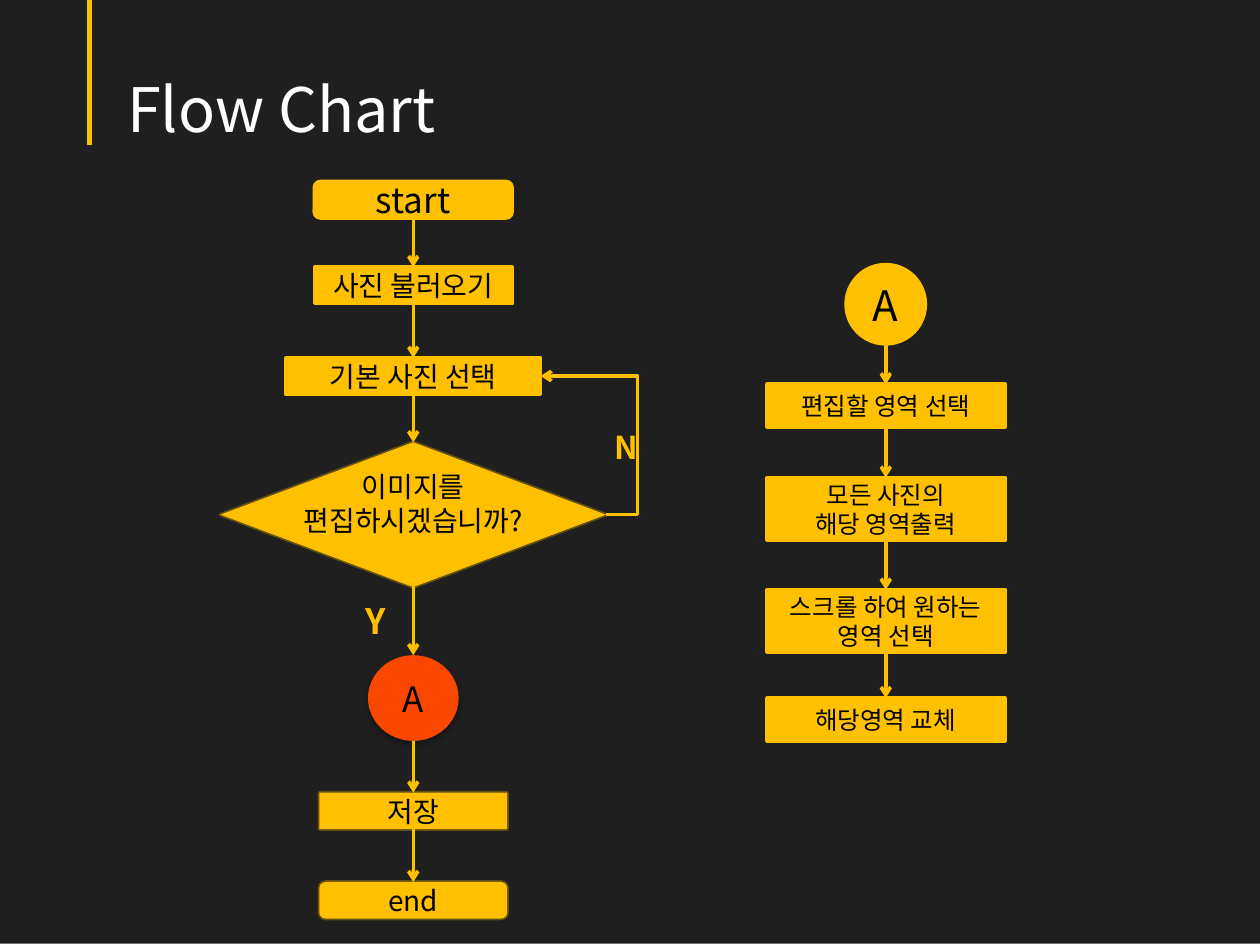
from itertools import pairwise

from lxml import etree
from pptx import Presentation
from pptx.dml.color import RGBColor
from pptx.enum.shapes import MSO_CONNECTOR as LINK, MSO_SHAPE as SHAPE
from pptx.enum.text import MSO_ANCHOR as ANCHOR, PP_ALIGN as ALIGN
from pptx.oxml import parse_xml
from pptx.oxml.ns import nsdecls, qn
from pptx.util import Inches, Pt

FONT = "Noto Sans CJK KR"
AMBER = RGBColor(0xFF, 0xC0, 0x00)
ORANGE = RGBColor(0xFA, 0x47, 0x00)
NIGHT = RGBColor(0x0D, 0x0D, 0x0D)
WHITE = RGBColor(0xFF, 0xFF, 0xFF)
BLACK = RGBColor(0x00, 0x00, 0x00)


def write(shape, text, size, color=BLACK, align=ALIGN.CENTER, bold=False):
    frame = shape.text_frame
    frame.word_wrap = True
    frame.text = text
    for paragraph in frame.paragraphs:
        paragraph.alignment = align
        for run in paragraph.runs:
            run.font.name = FONT
            run.font.size = Pt(size)
            run.font.bold = bold
            run.font.color.rgb = color
            etree.SubElement(run.font._element, qn("a:ea"), typeface=FONT)


def style_line(connector, width=2, arrow=True):
    connector.line.color.rgb = AMBER
    connector.line.width = Pt(width)
    if arrow:
        etree.SubElement(connector.line._get_or_add_ln(), qn("a:tailEnd"), type="arrow")
    etree.SubElement(connector._element.spPr, qn("a:effectLst"))


prs = Presentation()
prs.slide_width, prs.slide_height = Inches(10), Inches(7.5)
slide = prs.slides.add_slide(prs.slide_layouts[6])
shapes = slide.shapes

# Backdrop and title
backdrop = shapes.add_shape(SHAPE.RECTANGLE, Inches(-0.01), Inches(-0.11), Inches(10.01), Inches(7.6))
backdrop.shadow.inherit = False
backdrop.fill.solid()
backdrop.fill.fore_color.rgb = NIGHT
backdrop.line.fill.background()
backdrop_color = backdrop._element.spPr.find(".//" + qn("a:srgbClr"))
etree.SubElement(backdrop_color, qn("a:alpha"), val="92000")

title_bar = shapes.add_connector(LINK.STRAIGHT, Inches(0.71), 0, Inches(0.71), Inches(1.15))
style_line(title_bar, 3, arrow=False)
title = shapes.add_textbox(Inches(0.91), Inches(0.52), Inches(7.48), Inches(0.69))
write(title, "Flow Chart", 35, WHITE, ALIGN.LEFT)

# Each column: centre, then steps as (name, shape, top, width, height, text, size)
columns = [
    (3.28, [
        ("start", SHAPE.ROUNDED_RECTANGLE, 1.44, 1.57, 0.29, "start", 20),
        ("load", SHAPE.RECTANGLE, 2.12, 1.57, 0.29, "사진 불러오기", 16),
        ("base", SHAPE.RECTANGLE, 2.84, 2.02, 0.29, "기본 사진 선택", 16),
        ("decision", SHAPE.DIAMOND, 3.51, 3.06, 1.15, "", 16),
        ("jump", SHAPE.OVAL, 5.2, 0.72, 0.68, "A", 20),
        ("save", SHAPE.RECTANGLE, 6.29, 1.49, 0.29, "저장", 16),
        ("end", SHAPE.ROUNDED_RECTANGLE, 7, 1.49, 0.29, "end", 16),
    ]),
    (7.03, [
        ("entry", SHAPE.OVAL, 2.1, 0.63, 0.63, "A", 24),
        ("area", SHAPE.RECTANGLE, 3.05, 1.89, 0.34, "편집할 영역 선택", 14),
        ("show", SHAPE.RECTANGLE, 3.79, 1.89, 0.5, "모든 사진의\n해당 영역출력", 14),
        ("scroll", SHAPE.RECTANGLE, 4.68, 1.89, 0.5, "스크롤 하여 원하는 영역 선택", 14),
        ("replace", SHAPE.RECTANGLE, 5.54, 1.89, 0.34, "해당영역 교체", 14),
    ]),
]
FAINT_OUTLINE = {"decision", "save", "end"}
steps = {}
for center, column in columns:
    for name, kind, top, width, height, text, size in column:
        step = shapes.add_shape(kind, Inches(center - width / 2), Inches(top), Inches(width), Inches(height))
        step.shadow.inherit = False
        step.fill.solid()
        step.fill.fore_color.rgb = AMBER
        step.line.color.rgb = AMBER
        step.line.width = Pt(2)
        if name in FAINT_OUTLINE:
            outline_color = step.line._get_or_add_ln().find(".//" + qn("a:srgbClr"))
            etree.SubElement(outline_color, qn("a:alpha"), val="30000")
        if text:
            step.text_frame.vertical_anchor = ANCHOR.MIDDLE
            write(step, text, size)
        steps[name] = step

    for upper, lower in pairwise(column):
        source, target = steps[upper[0]], steps[lower[0]]
        arrow = shapes.add_connector(
            LINK.STRAIGHT, Inches(center), source.top + source.height, Inches(center), target.top)
        if upper[1] != SHAPE.OVAL:  # on an oval, site 2 is not the bottom
            arrow.begin_connect(source, 2)
        arrow.end_connect(target, 0)
        style_line(arrow)

# The jump to the second column stands out in orange
jump = steps["jump"]
jump.fill.fore_color.rgb = ORANGE
jump.line.fill.background()
jump_effects = jump._element.spPr.find(qn("a:effectLst"))
jump_effects.append(parse_xml(
    f'<a:outerShdw {nsdecls("a")} blurRad="{Pt(3.1)}" dist="{Pt(1.8)}" dir="5400000" rotWithShape="0">'
    '<a:srgbClr val="000000"><a:alpha val="35000"/></a:srgbClr></a:outerShdw>'))

# Decision: question, answers and the way back
question = shapes.add_textbox(Inches(1.96), Inches(3.68), Inches(2.64), Inches(0.94))
write(question, "이미지를\n편집하시겠습니까?", 16)

way_back = shapes.add_connector(LINK.ELBOW, Inches(4.81), Inches(4.08), Inches(4.29), Inches(2.99))
way_back.begin_connect(steps["decision"], 3)
way_back.end_connect(steps["base"], 3)
bend = way_back._element.spPr.find(qn("a:prstGeom")).find(qn("a:avLst"))
etree.SubElement(bend, qn("a:gd"), name="adj1", fmla="val -48000")
style_line(way_back)

for text, left, top, height, size, align in [
    ("Y", 2.8, 4.71, 0.44, 20, ALIGN.LEFT),
    ("N", 4.78, 3.35, 0.4, 18, ALIGN.CENTER),
]:
    answer = shapes.add_textbox(Inches(left), Inches(top), Inches(0.3), Inches(height))
    write(answer, text, size, AMBER, align, bold=True)

prs.save("out.pptx")
